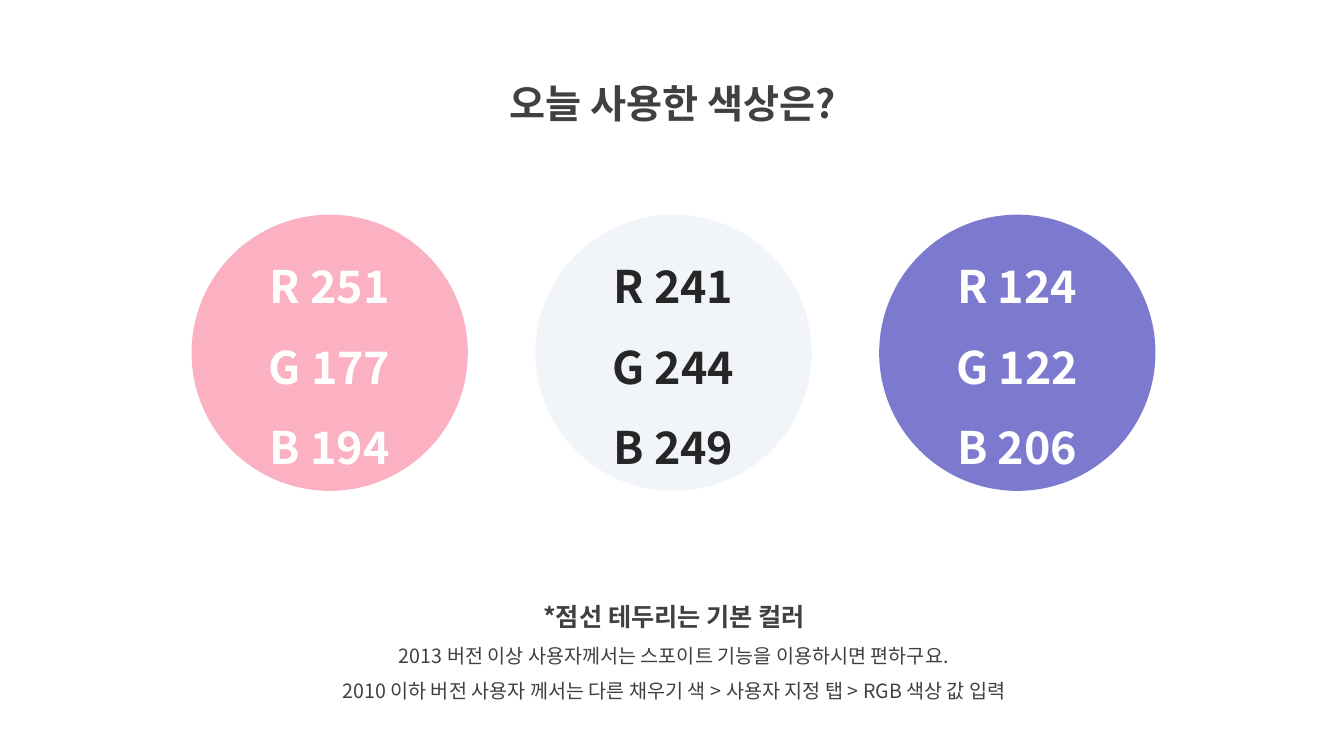
"""Build a slide that lists the RGB values of three theme colours."""
from dataclasses import dataclass

import pptx
import pptx.dml.color
import pptx.enum.shapes
import pptx.enum.text
import pptx.oxml.ns
import pptx.util
from lxml import etree
from pptx.util import Inches


@dataclass(frozen=True)
class Theme:
    """Fonts, colours and type sizes of the slide."""

    font: str = "Noto Sans CJK KR"
    text: str = "404040"
    dark: str = "262626"
    light: str = "FFFFFF"
    title_size: int = 28
    swatch_size: int = 32
    heading_size: int = 18
    note_size: int = 14
    line_spacing: float = 1.5


THEME = Theme()
SWATCHES = [
    ((251, 177, 194), THEME.light),
    ((241, 244, 249), THEME.dark),
    ((124, 122, 206), THEME.light),
]
SWATCH_LEFT, SWATCH_TOP, SWATCH_DIAMETER, SWATCH_STEP = 1.9, 2.13, 2.74, 3.41
NOTES = [
    "*점선 테두리는 기본 컬러",
    "2013 버전 이상 사용자께서는 스포이트 기능을 이용하시면 편하구요.",
    "2010 이하 버전 사용자 께서는 다른 채우기 색 > 사용자 지정 탭 > RGB 색상 값 입력",
]


def format_paragraph(paragraph, size, color, bold):
    """Centre a paragraph and style its runs for Latin and Korean text."""
    paragraph.alignment = pptx.enum.text.PP_ALIGN.CENTER
    paragraph.line_spacing = THEME.line_spacing
    for run in paragraph.runs:
        run.font.name = THEME.font
        run.font.size = pptx.util.Pt(size)
        run.font.bold = bold
        run.font.color.rgb = pptx.dml.color.RGBColor.from_string(color)
        properties = run.font._element
        east_asian = etree.SubElement(properties, pptx.oxml.ns.qn("a:ea"))
        east_asian.set("typeface", THEME.font)


def fit_frame(text_frame):
    """Let a wrapped text frame start at the top and grow with its text."""
    text_frame.word_wrap = True
    text_frame.vertical_anchor = pptx.enum.text.MSO_ANCHOR.TOP
    text_frame.auto_size = pptx.enum.text.MSO_AUTO_SIZE.SHAPE_TO_FIT_TEXT


def set_title(slide, text):
    """Place and format the title placeholder."""
    title = slide.shapes.title
    title.left, title.top = Inches(4.36), Inches(0.5)
    title.width, title.height = Inches(4.63), Inches(0.72)
    title.text_frame.text = text
    fit_frame(title.text_frame)
    format_paragraph(title.text_frame.paragraphs[0], THEME.title_size, THEME.text, True)


def add_swatch(slide, left, rgb, text_color):
    """Add a circle filled with a colour and labelled with its channels."""
    circle = slide.shapes.add_shape(
        pptx.enum.shapes.MSO_SHAPE.OVAL, Inches(left), Inches(SWATCH_TOP),
        Inches(SWATCH_DIAMETER), Inches(SWATCH_DIAMETER))
    circle.shadow.inherit = False
    circle.fill.solid()
    circle.fill.fore_color.rgb = pptx.dml.color.RGBColor(*rgb)
    circle.line.fill.background()
    text_frame = circle.text_frame
    text_frame.vertical_anchor = pptx.enum.text.MSO_ANCHOR.MIDDLE
    text_frame.text = "\n".join(f"{channel} {value}" for channel, value in zip("RGB", rgb))
    for paragraph in text_frame.paragraphs:
        format_paragraph(paragraph, THEME.swatch_size, text_color, True)


def add_notes(slide, lines):
    """Add a bold heading line followed by plain lines of advice."""
    box = slide.shapes.add_textbox(Inches(2.69), Inches(5.77), Inches(7.99), Inches(1.26))
    box.text_frame.text = "\n".join(lines)
    fit_frame(box.text_frame)
    heading, *details = box.text_frame.paragraphs
    format_paragraph(heading, THEME.heading_size, THEME.text, True)
    for paragraph in details:
        format_paragraph(paragraph, THEME.note_size, THEME.text, False)


def main():
    """Build and save the presentation."""
    presentation = pptx.Presentation()
    presentation.slide_width, presentation.slide_height = Inches(13.33), Inches(7.5)
    slide = presentation.slides.add_slide(presentation.slide_layouts.get_by_name("Title Only"))
    set_title(slide, "오늘 사용한 색상은?")
    add_notes(slide, NOTES)
    for index, (rgb, text_color) in enumerate(SWATCHES):
        add_swatch(slide, SWATCH_LEFT + index * SWATCH_STEP, rgb, text_color)
    presentation.save("out.pptx")


if __name__ == "__main__":
    main()
